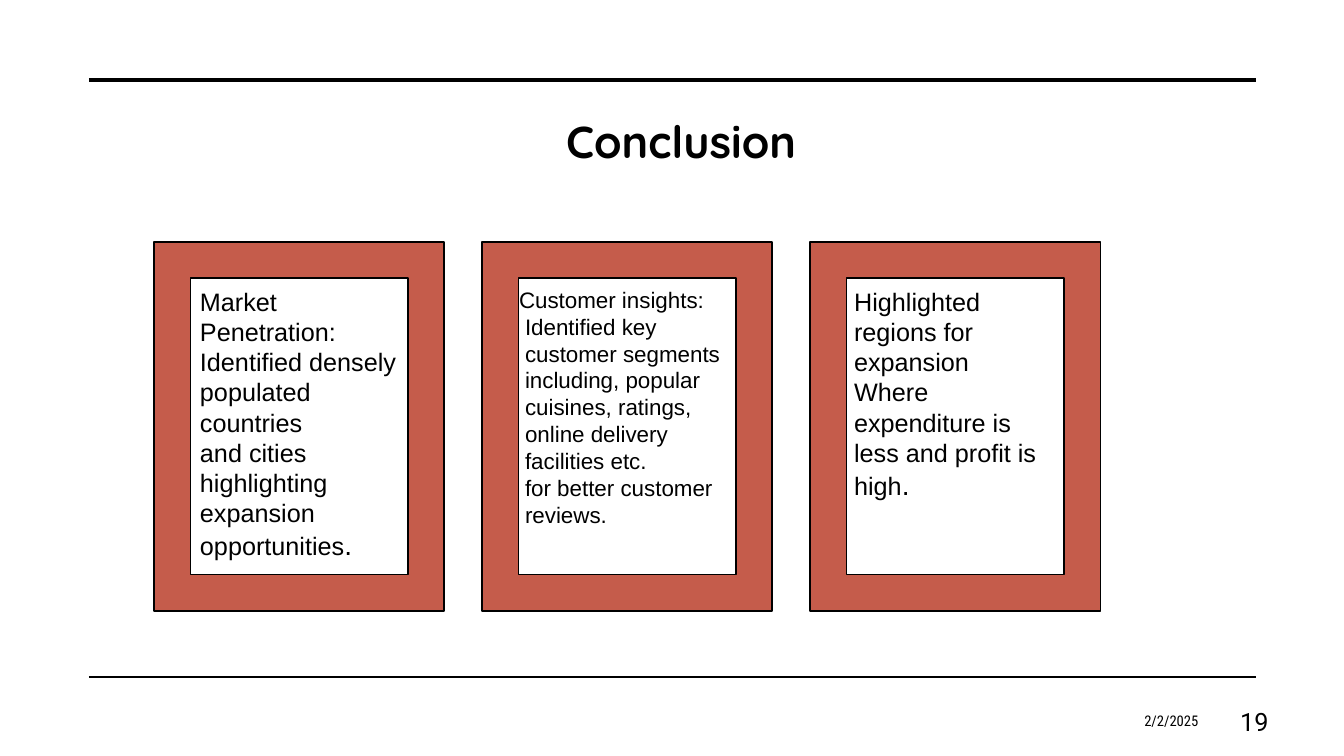
import pptx
import pptx.dml.color
import pptx.enum.shapes
import pptx.enum.text
import pptx.oxml.ns
import pptx.util
import lxml.etree

PX_PER_INCH = 100.8
BLACK = "000000"
RUST = "C55C4B"
ALIGN = pptx.enum.text.PP_ALIGN
ANCHOR = pptx.enum.text.MSO_ANCHOR

FRAME_LEFT, FRAME_TOP, FRAME_STEP = 154, 242, 328
FRAME_WIDTH, FRAME_HEIGHT = 290, 369

CONCLUSIONS = [
    {
        "offset": 36, "width": 226, "size": 18, "indent": 0, "stop": 20,
        "lines": ["Market", "Penetration:", "Identified densely", "populated",
                  "countries", "and cities", "highlighting", "expansion",
                  "opportunities."],
    },
    {
        "offset": 27, "width": 242, "size": 16, "indent": 6, "stop": 16,
        "lines": ["Customer insights:", "Identified key", "customer segments",
                  "including, popular", "cuisines, ratings,",
                  "online delivery", "facilities etc.",
                  "for better customer", "reviews."],
    },
    {
        "offset": 34, "width": 219, "size": 18, "indent": 0, "stop": 20,
        "lines": ["Highlighted regions for expansion",
                  "Where expenditure is less and profit is high."],
    },
]


def px(n):
    return pptx.util.Emu(round(n * 914400 / PX_PER_INCH))


def color(value):
    return pptx.dml.color.RGBColor.from_string(value)


def add_rule(s, y, weight):
    line = s.shapes.add_connector(
        pptx.enum.shapes.MSO_CONNECTOR.STRAIGHT, px(89), px(y), px(1256), px(y))
    line.line.color.rgb = color(BLACK)
    line.line.width = pptx.util.Pt(weight)
    sp_pr = line._element.spPr
    lxml.etree.SubElement(sp_pr, pptx.oxml.ns.qn("a:effectLst"))


def add_frame(s, left):
    sp = s.shapes.add_shape(
        pptx.enum.shapes.MSO_SHAPE.FRAME,
        px(left), px(FRAME_TOP), px(FRAME_WIDTH), px(FRAME_HEIGHT))
    sp.shadow.inherit = False
    sp.fill.solid()
    sp.fill.fore_color.rgb = color(RUST)
    sp.line.color.rgb = color(BLACK)
    sp.line.width = pptx.util.Pt(1)


def add_box(s, left, top, width, height, anchor=ANCHOR.TOP):
    sp = s.shapes.add_textbox(px(left), px(top), px(width), px(height))
    tf = sp.text_frame
    tf.word_wrap = True
    tf.vertical_anchor = anchor
    return tf


def add_run(p, text, size, font, bold=False):
    r = p.add_run()
    r.text = text
    r.font.size = pptx.util.Pt(size)
    r.font.name = font
    r.font.bold = bold
    r.font.color.rgb = color(BLACK)


def add_label(s, box, text, size, font, align, anchor=ANCHOR.MIDDLE, bold=False):
    p = add_box(s, *box, anchor).paragraphs[0]
    p.alignment = align
    add_run(p, text, size, font, bold)


def add_conclusion(s, left, item):
    add_frame(s, left)
    tf = add_box(s, left + item["offset"], 281, item["width"], 288)
    last = len(item["lines"]) - 1
    for i, text in enumerate(item["lines"]):
        p = tf.add_paragraph() if i else tf.paragraphs[0]
        if i and item["indent"]:
            p._p.get_or_add_pPr().set("marL", str(px(item["indent"])))
        if i == last:
            add_run(p, text[:-1], item["size"], "Arial")
            add_run(p, text[-1], item["stop"], "Arial")
        else:
            add_run(p, text, item["size"], "Arial")


def main():
    prs = pptx.Presentation()
    prs.slide_width = pptx.util.Inches(13.33)
    prs.slide_height = pptx.util.Inches(7.5)
    s = prs.slides.add_slide(prs.slide_layouts[6])

    add_rule(s, 80, 3.5)
    add_rule(s, 677, 1)
    add_label(s, (922, 701, 286, 40), "2/2/2025", 10.5, "Roboto Condensed", ALIGN.RIGHT)
    add_label(s, (1204, 701, 74, 40), "19", 18, "Roboto", ALIGN.RIGHT)
    add_label(s, (383, 109, 596, 126), "Conclusion", 32, "Quicksand",
              ALIGN.CENTER, ANCHOR.TOP, True)
    for i, item in enumerate(CONCLUSIONS):
        add_conclusion(s, FRAME_LEFT + i * FRAME_STEP, item)

    prs.save("out.pptx")


if __name__ == "__main__":
    main()
